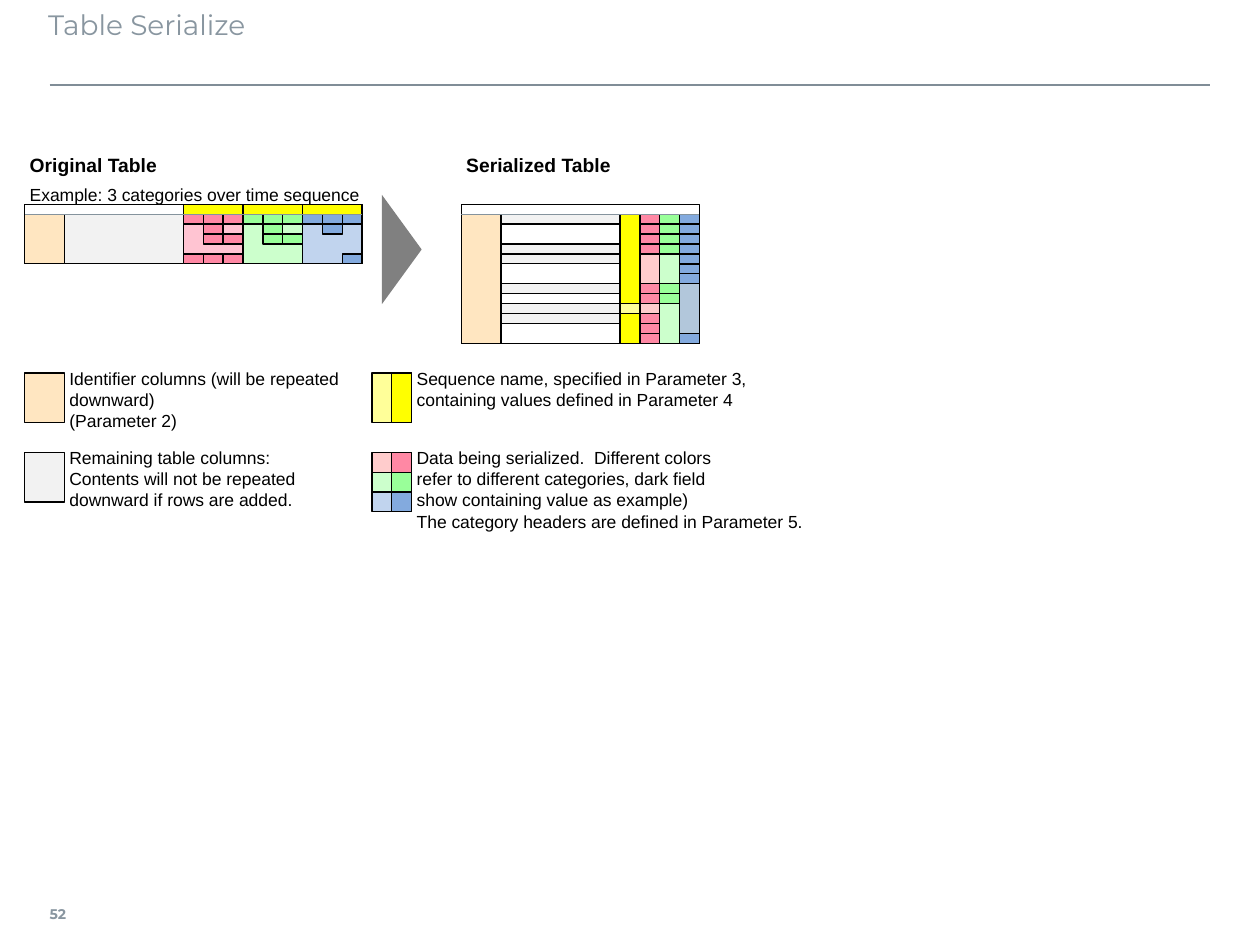
from lxml.etree import SubElement
from pptx import Presentation
from pptx.dml.color import RGBColor
from pptx.enum.shapes import MSO_CONNECTOR as LINE, MSO_SHAPE as SHAPE
from pptx.enum.text import MSO_ANCHOR as ANCHOR
from pptx.oxml.ns import qn
from pptx.util import Pt

PX = 3600  # EMU per px, 254 px to the inch
WIDE, HIGH = 2540, 1905
CELL_W, CELL_H = 40, 20

BLACK = RGBColor(0x00, 0x00, 0x00)
SLATE = RGBColor(0x89, 0x96, 0xA0)
RULE = RGBColor(0x80, 0x8D, 0x97)
EDGE = RGBColor(0x85, 0x93, 0x9D)
GREY = RGBColor(0x80, 0x80, 0x80)
PALE = RGBColor(0xF2, 0xF2, 0xF2)
SAND = RGBColor(0xFF, 0xE6, 0xC1)
CREAM = RGBColor(0xFF, 0xFF, 0x99)
YELLOW = RGBColor(0xFF, 0xFF, 0x00)
PINK = RGBColor(0xFF, 0xC4, 0xD2)
ROSE = RGBColor(0xFF, 0xCC, 0xCC)
RED = RGBColor(0xFF, 0x88, 0xA4)
MINT = RGBColor(0xCC, 0xFF, 0xCC)
GREEN = RGBColor(0x99, 0xFF, 0x99)
SKY = RGBColor(0xC1, 0xD4, 0xEE)
STEEL = RGBColor(0xB2, 0xC7, 0xDB)
BLUE = RGBColor(0x83, 0xAA, 0xDE)

# Grids: origin in px; blocks are column, row, columns, rows, fill;
# marks are fill, column, rows of single dark cells
SOURCE = dict(
    x=50, y=432, cols=17, rows=5,
    blocks=[(2, 0, 6, 5, PALE), (0, 0, 2, 5, SAND), (8, 0, 3, 5, PINK),
            (11, 0, 3, 5, MINT), (14, 0, 3, 5, SKY)]
    + [(col, -1, 3, 1, YELLOW) for col in (8, 11, 14)],
    marks=[(RED, 8, [0, 4]), (RED, 9, [0, 1, 2, 4]), (RED, 10, [0, 2, 4]),
           (GREEN, 11, [0]), (GREEN, 12, [0, 1, 2]), (GREEN, 13, [0, 2]),
           (BLUE, 14, [0]), (BLUE, 15, [0, 1]), (BLUE, 16, [0, 4])])
SERIAL = dict(
    x=930, y=432, cols=12, rows=13,
    blocks=[(0, 0, 2, 13, SAND), (8, 0, 1, 13, CREAM), (9, 0, 1, 13, ROSE),
            (10, 0, 1, 13, MINT), (11, 0, 1, 13, STEEL)]
    + [(2, row, 6, 1, PALE) for row in (0, 3, 4, 7, 9, 10)]
    + [(8, 10, 1, 3, YELLOW), (8, 0, 1, 9, YELLOW)],
    marks=[(RED, 9, [0, 1, 2, 3, 7, 8, 10, 11, 12]),
           (GREEN, 10, [0, 1, 2, 3, 7, 8]),
           (BLUE, 11, [0, 1, 2, 3, 4, 5, 6, 12])])

# Headings: x, y, width, text, size, bold
HEADS = [
    (50, 373, 720, "Example: 3 categories over time sequence", 10, False),
    (50, 312, 360, "Original Table", 11, True),
    (930, 312, 360, "Serialized Table", 11, True),
]

# Legend: x, y, text width, swatch blocks, paragraphs
KEYS = [
    (50, 752, 600, [(0, 0, 2, 5, SAND)],
     ["Identifier columns (will be repeated\ndownward)", "(Parameter 2)"]),
    (50, 912, 600, [(0, 0, 2, 5, PALE)],
     ["Remaining table columns:\nContents will not be repeated",
      "downward if rows are added."]),
    (750, 752, 840, [(0, 0, 2, 5, CREAM), (1, 0, 1, 5, YELLOW)],
     ["Sequence name, specified in Parameter 3,",
      "containing values defined in Parameter 4"]),
    (750, 912, 840,
     [(0, 0, 2, 2, ROSE), (0, 2, 2, 2, MINT), (0, 4, 2, 2, SKY),
      (1, 0, 1, 2, RED), (1, 2, 1, 2, GREEN), (1, 4, 1, 2, BLUE)],
     ["Data being serialized.  Different colors\n"
      "refer to different categories, dark field\n"
      "show containing value as example)",
      "The category headers are defined in Parameter 5."]),
]

deck = Presentation()
deck.slide_width, deck.slide_height = WIDE * PX, HIGH * PX
slide = deck.slides.add_slide(deck.slide_layouts[6])


def scale(*nums):
    return [num * PX for num in nums]


def shape(kind, x, y, w, h, fill=None, edge=BLACK):
    part = slide.shapes.add_shape(kind, *scale(x, y, w, h))
    part.shadow.inherit = False
    if fill is None:
        part.fill.background()
    else:
        part.fill.solid()
        part.fill.fore_color.rgb = fill
    if edge is None:
        part.line.fill.background()
    else:
        part.line.color.rgb = edge
        part.line.width = Pt(0.75)
    return part


def block(x, y, col, row, cols, rows, fill=None):
    shape(SHAPE.RECTANGLE, x + col * CELL_W, y + row * CELL_H,
          cols * CELL_W, rows * CELL_H, fill)


def line(x, y, end, color, width):
    part = slide.shapes.add_connector(LINE.STRAIGHT, *scale(x, y, end, y))
    part.line.color.rgb = color
    part.line.width = Pt(width)
    SubElement(part._element.spPr, qn("a:effectLst"))


def text(x, y, w, h, paras, size, color=BLACK, face="Arial", bold=False,
         pads=(10, 10, 10, 10), anchor=ANCHOR.TOP):
    frame = slide.shapes.add_textbox(*scale(x, y, w, h)).text_frame
    frame.word_wrap = True
    frame.vertical_anchor = anchor
    (frame.margin_left, frame.margin_top,
     frame.margin_right, frame.margin_bottom) = scale(*pads)
    for num, words in enumerate(paras):
        para = frame.add_paragraph() if num else frame.paragraphs[0]
        para.text = words
        for run in para.runs:
            run.font.size = Pt(size)
            run.font.name = face
            run.font.bold = bold
            run.font.color.rgb = color


def grid(x, y, cols, rows, blocks, marks):
    block(x, y, 0, -1, cols, rows + 1)
    for item in blocks:
        block(x, y, *item)
    for fill, col, spots in marks:
        for row in spots:
            block(x, y, col, row, 1, 1, fill)
    line(x, y, x + cols * CELL_W, EDGE, 0.75)


# Title, rule and page number
line(100, 172, 2440, RULE, 1)
text(97, 3, 2340, 160, ["Table Serialize"], 16, SLATE, "Montserrat",
     pads=(0, 13, 25, 13))
text(100, 1793, 90, 100, ["52"], 8, SLATE, "Montserrat", True,
     (0, 13, 20, 13), ANCHOR.MIDDLE)

# Both tables with the arrow between them
for x, y, w, words, size, bold in HEADS:
    text(x, y, w, 40, [words], size, bold=bold, anchor=ANCHOR.MIDDLE)
grid(**SOURCE)
grid(**SERIAL)
shape(SHAPE.ISOSCELES_TRIANGLE, 700, 463, 220, 80, GREY, None).rotation = 90

# Legend
for x, y, w, blocks, paras in KEYS:
    for item in blocks:
        block(x, y, *item)
    text(x + 80, y - 10, w, 100, paras, 10, pads=(10, 0, 10, 0))

deck.save("out.pptx")
